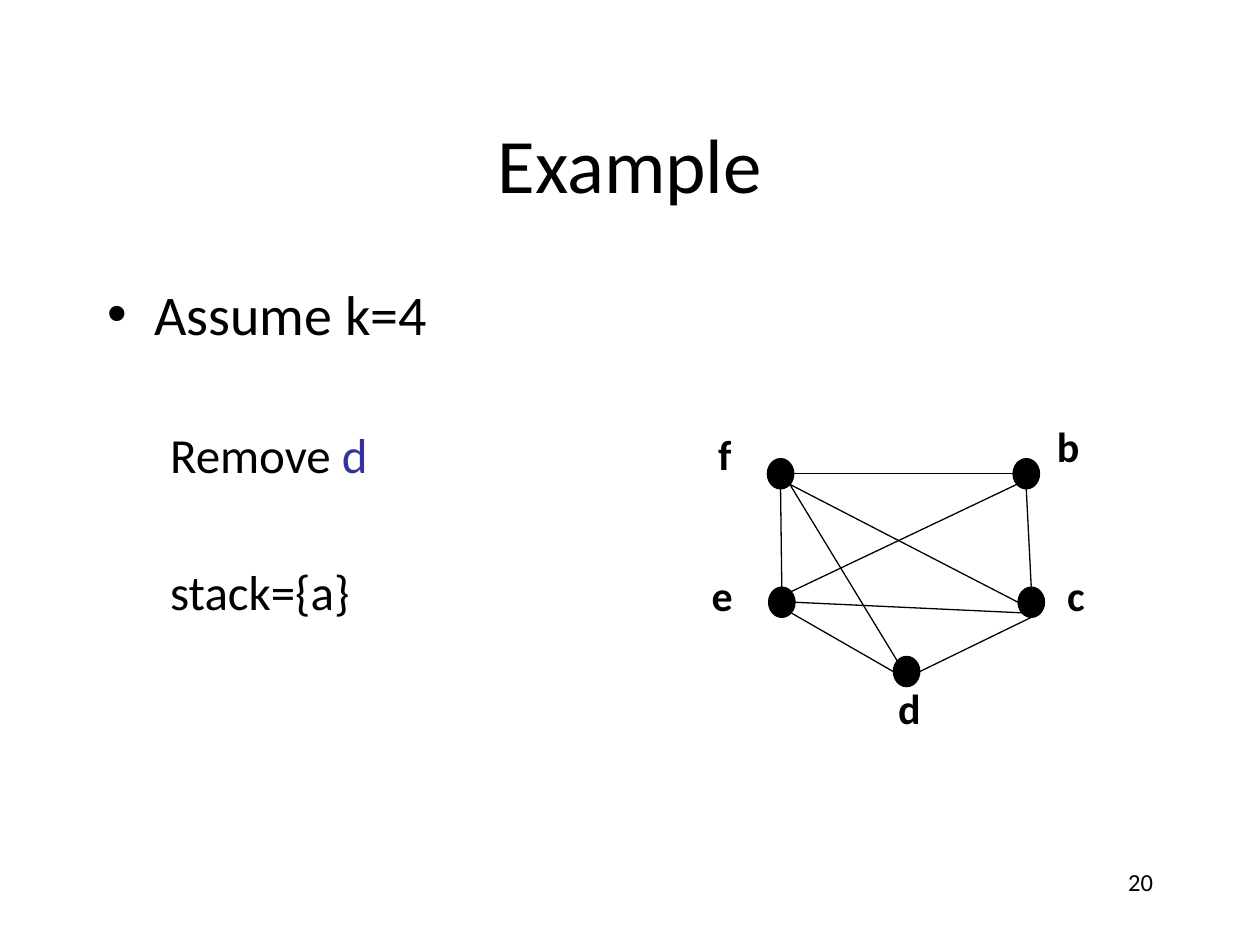
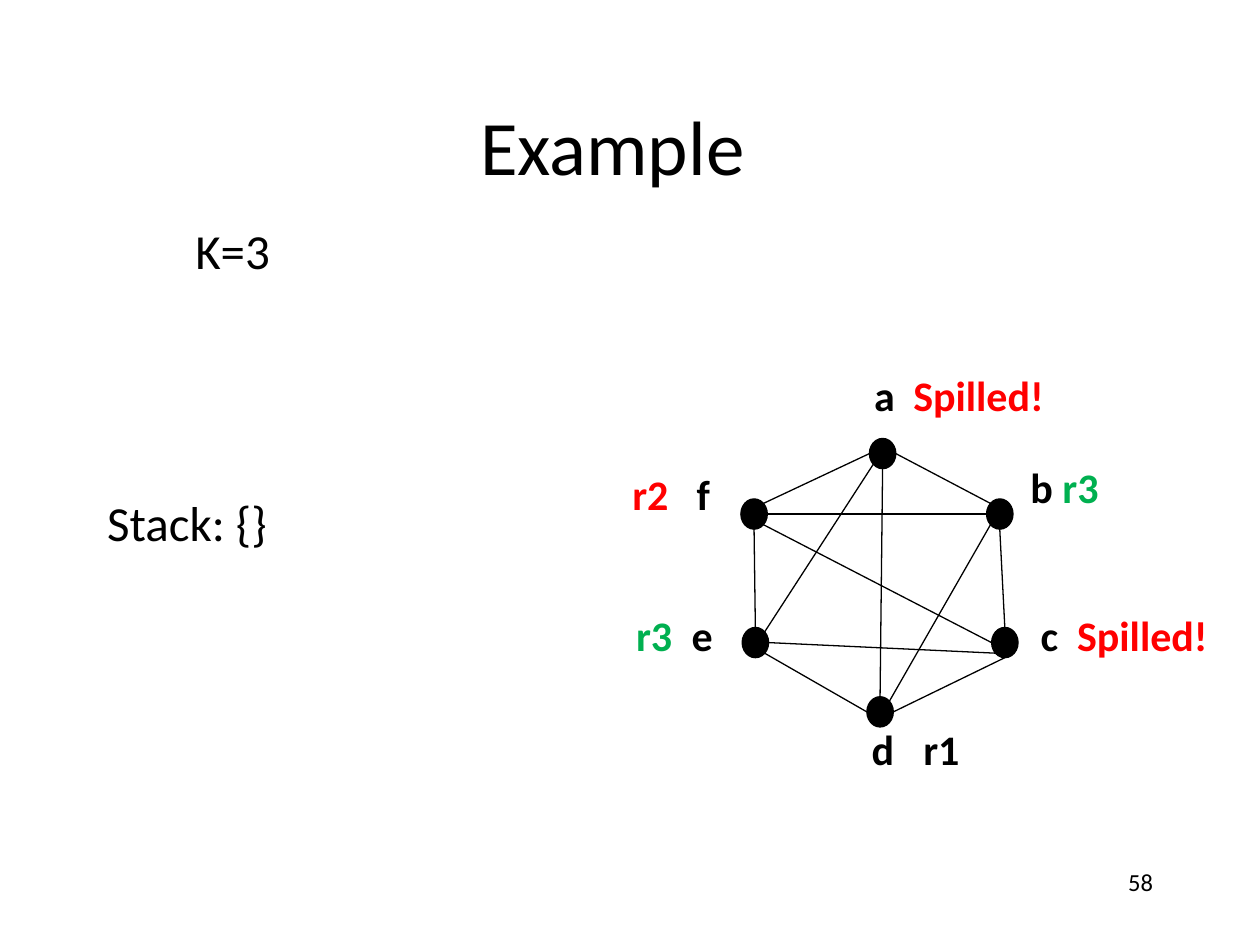
from lxml import etree
from pptx import Presentation
from pptx.dml.color import RGBColor
from pptx.enum.shapes import MSO_CONNECTOR, MSO_SHAPE
from pptx.enum.text import MSO_ANCHOR, MSO_AUTO_SIZE, PP_ALIGN
from pptx.oxml.ns import qn
from pptx.util import Inches, Pt

STRAIGHT = MSO_CONNECTOR.STRAIGHT
ELLIPSE = MSO_SHAPE.OVAL
MIDDLE = MSO_ANCHOR.MIDDLE
NO_FIT = MSO_AUTO_SIZE.NONE
LEFT, CENTER, RIGHT = PP_ALIGN.LEFT, PP_ALIGN.CENTER, PP_ALIGN.RIGHT

FONT = "Calibri"
BLACK, BLUE, RED, GREEN = "000000", "333399", "FF0000", "00B050"

# The slide is a grid of 100 columns by 75 rows
COLUMNS, ROWS = 100, 75
DOT_WIDTH, DOT_HEIGHT = 2.1, 2.4

# Dots, counted from the graph's top left dot f
DOTS = {"a": (10.2, -4.8), "b": (19.5, 0), "c": (19.9, 10.2),
        "d": (10, 15.7), "e": (0.1, 10.2), "f": (0, 0)}

# Label boxes, counted from their dot: column, row, width
LABELS = {"a": (-0.6, -6, 16.7), "b": (2.5, -3.5, 8.6), "c": (2.9, -1.9, 17.2),
          "d": (-0.6, 1.6, 10.1), "e": (-5.5, -1.9, 8.4), "f": (-4.9, -2.9, 9.2)}
REGISTER_LABELS = {**LABELS, "e": (-9.4, -1.9, 8.4), "f": (-9.6, -2.9, 9.2)}

# Points on a dot's rim, as shares of its width and height
RIM = {"top": (0.5, 0), "left": (0, 0.5), "bottom": (0.5, 1), "right": (1, 0.5),
       "top left": (0.15, 0.15), "top right": (0.85, 0.15),
       "bottom left": (0.15, 0.85), "bottom right": (0.85, 0.85)}

# Edges: dot, rim point, dot, rim point
SHARED_EDGES = [
    ("e", "top", "f", "bottom"), ("d", "left", "e", "bottom right"),
    ("b", "left", "f", "right"), ("c", "left", "f", "bottom right"),
    ("b", "bottom", "c", "top"), ("c", "bottom left", "e", "right"),
    ("c", "bottom", "d", "right"),
]
FIRST_EDGES = SHARED_EDGES + [
    ("d", "top left", "f", "bottom right"), ("b", "bottom left", "e", "top right"),
]
SECOND_EDGES = SHARED_EDGES + [
    ("b", "bottom left", "d", "top right"), ("a", "left", "f", "top right"),
    ("a", "right", "b", "top left"), ("a", "bottom left", "e", "top right"),
    ("a", "bottom", "d", "top"),
]


def grid(*counts):
    """Turn grid columns or rows into lengths."""
    return [Inches(count / 10) for count in counts]


def color(hex_code):
    return RGBColor.from_string(hex_code)


def write(para, spans, size, bold=False, align=LEFT):
    """Fill a paragraph with (text, colour) spans."""
    para.alignment = align
    for text, hex_code in spans:
        span = para.add_run()
        span.text = text
        span.font.name = FONT
        span.font.size = Pt(size)
        span.font.bold = bold
        span.font.color.rgb = color(hex_code)


def move(box, left, top, width, height):
    box.left, box.top, box.width, box.height = grid(left, top, width, height)


def add_tab(para, column):
    tabs = etree.SubElement(para._p.get_or_add_pPr(), qn("a:tabLst"))
    etree.SubElement(tabs, qn("a:tab"), pos=str(grid(column)[0]), algn="l")


def set_title(slide, text, top, right_inset=1):
    title = slide.shapes.title
    move(title, 7.5, top, 85, 12.5)
    frame = title.text_frame
    frame.vertical_anchor = MIDDLE
    frame.margin_right = grid(right_inset)[0]
    write(frame.paragraphs[0], [(text, BLACK)], 44, align=CENTER)


def set_body(slide, place, lines):
    """Fill the body with lines: spans, size, space before, indent (None: bullet)."""
    body = slide.placeholders[1]
    move(body, *place)
    frame = body.text_frame
    frame.auto_size = NO_FIT
    for number, (spans, size, space, indent) in enumerate(lines):
        para = frame.add_paragraph() if number else frame.paragraphs[0]
        para.space_before = Pt(space)
        if indent is not None:
            properties = para._p.get_or_add_pPr()
            properties.set("marL", str(grid(indent)[0]))
            properties.set("indent", "0")
            etree.SubElement(properties, qn("a:buNone"))
        write(para, spans, size)


def add_text(shapes, place, spans, size, bold=False, align=LEFT, tab=None):
    box = shapes.add_textbox(*grid(*place))
    box.text_frame.word_wrap = True
    para = box.text_frame.paragraphs[0]
    if tab:
        add_tab(para, tab)
    write(para, spans, size, bold, align)


def add_page_number(slide, number):
    add_text(slide.shapes, (71.7, 68.3, 20.8, 5), [(str(number), BLACK)], 14, align=RIGHT)


def add_node(slide, column, row, label, spans, tab):
    """Group a dot with its label."""
    group = slide.shapes.add_group_shape()
    dot = group.shapes.add_shape(ELLIPSE, *grid(column, row, DOT_WIDTH, DOT_HEIGHT))
    dot.shadow.inherit = False
    dot.fill.solid()
    dot.fill.fore_color.rgb = color(BLACK)
    dot.line.color.rgb = color(BLACK)
    dot.line.width = Pt(0.75)
    across, down, width = label
    add_text(group.shapes, (column + across, row + down, width, 5),
             spans, 24, bold=True, tab=tab)


def add_edge(slide, start, end):
    edge = slide.shapes.add_connector(STRAIGHT, *grid(*start, *end))
    edge.line.color.rgb = color(BLACK)
    edge.line.width = Pt(0.75)
    etree.SubElement(edge._element.spPr, qn("a:effectLst"))


def add_graph(slide, left, top, labels, nodes, edges):
    """Draw nodes given as name: (spans, tab column), then the edges."""
    def rim_point(name, side):
        column, row = DOTS[name]
        across, down = RIM[side]
        return (left + column + across * DOT_WIDTH, top + row + down * DOT_HEIGHT)

    for name, (spans, tab) in nodes.items():
        column, row = DOTS[name]
        add_node(slide, left + column, top + row, labels[name], spans, tab)
    for first, first_side, second, second_side in edges:
        add_edge(slide, rim_point(first, first_side), rim_point(second, second_side))


def add_removal_slide(deck):
    slide = deck.slides.add_slide(deck.slide_layouts[1])
    set_title(slide, "Example", 6.7)
    set_body(slide, (7.5, 21.7, 85, 45), [
        ([("Assume k=4", BLACK)], 32, 0, None),
        ([("Remove ", BLACK), ("d", BLUE)], 28, 44.5, 5),
        ([("stack={a}", BLACK)], 28, 44.5, 5),
    ])
    add_page_number(slide, 20)
    nodes = {name: ([(name, BLACK)], None) for name in "bcdfe"}
    add_graph(slide, 60.9, 36.4, LABELS, nodes, FIRST_EDGES)


def add_spill_slide(deck):
    slide = deck.slides.add_slide(deck.slide_layouts[1])
    set_title(slide, "Example", 5.2, right_inset=3.8)
    set_body(slide, (7.5, 17, 86.6, 45), [
        ([("K=3", BLACK)], 28, 0, 7),
        ([("Stack: {}", BLACK)], 28, 122, 0),
    ])
    add_page_number(slide, 58)
    nodes = {
        "d": ([("d\tr1", BLACK)], 4.1),
        "f": ([("r2", RED), ("\tf", BLACK)], 5.1),
        "e": ([("r3", GREEN), ("\te", BLACK)], 4.4),
        "b": ([("b ", BLACK), ("r3", GREEN)], None),
        "c": ([("c", BLACK), ("\tSpilled!", RED)], 2.9),
        "a": ([("a", BLACK), ("\tSpilled!", RED)], 3.1),
    }
    add_graph(slide, 58.8, 39.6, REGISTER_LABELS, nodes, SECOND_EDGES)


def main():
    deck = Presentation()
    deck.slide_width, deck.slide_height = grid(COLUMNS, ROWS)
    add_removal_slide(deck)
    add_spill_slide(deck)
    deck.save("out.pptx")


if __name__ == "__main__":
    main()
